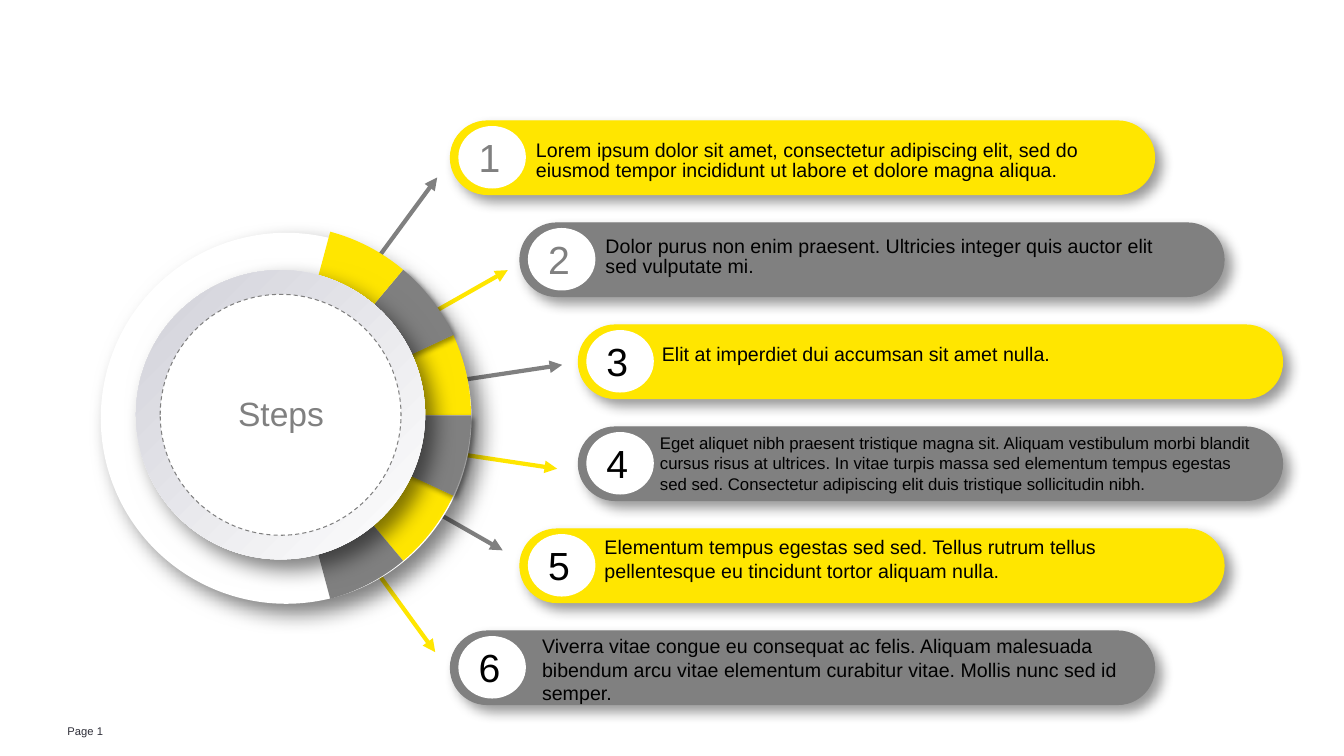
"""Build a slide with a six-part dial pointing at six numbered steps."""
from dataclasses import dataclass

from lxml.etree import SubElement
from pptx import Presentation
from pptx.dml.color import RGBColor
from pptx.enum.dml import MSO_LINE
from pptx.enum.shapes import MSO_CONNECTOR, MSO_SHAPE
from pptx.enum.text import MSO_ANCHOR, PP_ALIGN
from pptx.oxml.ns import qn
from pptx.util import Inches, Pt


@dataclass(frozen=True)
class Theme:
    """Colours, type sizes and shadows of the slide."""
    font: str = "Arial"
    yellow: str = "FFE600"
    gray: str = "808080"
    white: str = "FFFFFF"
    silver: str = "D2D2DA"
    black: str = "000000"
    ink: str = "2E2E38"
    footer: int = 8
    small: int = 12
    body: int = 14
    title: int = 24
    digit: int = 28
    deep_shadow: tuple = (50, 15, 10)
    pill_shadow: tuple = (40, 9, 6)
    slice_shadow: tuple = (40, 4, 3)


@dataclass(frozen=True)
class Step:
    """One numbered step with its layout, arrow and wording."""
    left: float
    caption: tuple
    arrow: tuple
    digit_color: str
    size: int
    spacing: float
    text: str


THEME = Theme()
DIAL_X, DIAL_Y, DIAL_SIZE = 2.79, 4.12, 3.77
SLICE_START, SLICE_ANGLE = -75, 25
SLICE_ORDER = (2, 4, 1, 5, 3, 0)
PILL_TOP, PILL_LAST_TOP = 1.2, 6.26
PILL_WIDTH, PILL_HEIGHT = 6.99, 0.73

STEPS = [
    Step(4.47, (0.85, 0.16, 5.61), (4.04, 4.34, 1.76), THEME.gray, THEME.body, 0.85,
         "Lorem ipsum dolor sit amet, consectetur adipiscing elit, sed do "
         "eiusmod tempor incididunt ut labore et dolore magna aliqua."),
    Step(5.16, (0.85, 0.1, 5.61), (4.03, 5.04, 2.68), THEME.gray, THEME.body, 0.85,
         "Dolor purus non enim praesent. Ultricies integer quis auctor elit "
         "sed vulputate mi."),
    Step(5.74, (0.83, 0.13, 5.98), (4.06, 5.58, 3.62), THEME.black, THEME.body, 1.0,
         "Elit at imperdiet dui accumsan sit amet nulla."),
    Step(5.74, (0.81, 0.02, 5.98), (4.22, 5.53, 4.65), THEME.black, THEME.small, 1.0,
         "Eget aliquet nibh praesent tristique magna sit. Aliquam vestibulum morbi "
         "blandit cursus risus at ultrices. In vitae turpis massa sed elementum "
         "tempus egestas sed sed. Consectetur adipiscing elit duis tristique "
         "sollicitudin nibh."),
    Step(5.16, (0.84, 0.02, 5.98), (4.13, 4.99, 5.46), THEME.black, THEME.body, 1.0,
         "Elementum tempus egestas sed sed. Tellus rutrum tellus pellentesque eu "
         "tincidunt tortor aliquam nulla."),
    Step(4.47, (0.91, -0.01, 5.98), (4.19, 4.32, 6.47), THEME.black, THEME.body, 1.0,
         "Viverra vitae congue eu consequat ac felis. Aliquam malesuada bibendum "
         "arcu vitae elementum curabitur vitae. Mollis nunc sed id semper."),
]


def rgb(color):
    """Turn a hex string into a colour."""
    return RGBColor.from_string(color)


def apply(target, values):
    """Set each named attribute on the target."""
    for name, value in values.items():
        setattr(target, name, value)


def step_color(index):
    """Alternate yellow and gray along the steps."""
    return (THEME.yellow, THEME.gray)[index % 2]


def add_shadow(shape, shadow):
    """Give a shape a soft black shadow towards the lower right."""
    alpha, blur, distance = shadow
    effects = shape._element.spPr.find(qn("a:effectLst"))
    outer = SubElement(effects, qn("a:outerShdw"), blurRad=str(Pt(blur)),
                       dist=str(Pt(distance)), dir=str(45 * 60000),
                       algn="tl", rotWithShape="0")
    color = SubElement(outer, qn("a:srgbClr"), val=THEME.black)
    SubElement(color, qn("a:alpha"), val=str(alpha * 1000))


def add_figure(shapes, kind, area, fill, line=None, shadow=None):
    """Add a preset shape with a plain fill and optional line and shadow."""
    shape = shapes.add_shape(kind, *map(Inches, area))
    shape.shadow.inherit = False
    shape.fill.solid()
    shape.fill.fore_color.rgb = rgb(fill)
    if line:
        shape.line.color.rgb = rgb(line)
        shape.line.width = Pt(0.75)
    else:
        shape.line.fill.background()
    if shadow:
        add_shadow(shape, shadow)
    return shape


def add_text(shapes, area, text, size, color, align=PP_ALIGN.LEFT,
             spacing=0.85, after=6, wrap=True, insets=(0, 0.04, 0, 0)):
    """Add a text box holding one paragraph."""
    frame = shapes.add_textbox(*map(Inches, area)).text_frame
    left, top, right, bottom = map(Inches, insets)
    apply(frame, {"word_wrap": wrap, "vertical_anchor": MSO_ANCHOR.TOP,
                  "margin_left": left, "margin_top": top,
                  "margin_right": right, "margin_bottom": bottom})
    para = frame.paragraphs[0]
    apply(para, {"alignment": align, "line_spacing": spacing,
                 "space_after": Pt(after)})
    span = para.add_run()
    span.text = text
    apply(span.font, {"name": THEME.font, "size": Pt(size)})
    span.font.color.rgb = rgb(color)


def add_arrow(shapes, start, end, color):
    """Add a straight arrow from start to end."""
    arrow = shapes.add_connector(MSO_CONNECTOR.STRAIGHT, *map(Inches, start + end))
    arrow.line.color.rgb = rgb(color)
    arrow.line.width = Pt(3)
    properties = arrow._element.spPr
    SubElement(properties.find(qn("a:ln")), qn("a:tailEnd"), type="triangle")
    SubElement(properties, qn("a:effectLst"))


def add_slice(shapes, index):
    """Add one coloured slice of the dial."""
    corner = (DIAL_X - DIAL_SIZE / 2, DIAL_Y - DIAL_SIZE / 2)
    shadow = THEME.slice_shadow if index in (1, 3) else None
    piece = add_figure(shapes, MSO_SHAPE.PIE, corner + (DIAL_SIZE, DIAL_SIZE),
                       step_color(index), shadow=shadow)
    start = SLICE_START + index * SLICE_ANGLE
    for side, angle in enumerate((start, start + SLICE_ANGLE)):
        piece.adjustments[side] = angle % 360 * 0.6


def add_dial(shapes):
    """Add the dial with its slices, ring and label."""
    add_figure(shapes, MSO_SHAPE.OVAL, (1, 2.31, 3.68, 3.68), THEME.white,
               shadow=THEME.deep_shadow)
    for index in SLICE_ORDER:
        add_slice(shapes, index)
    ring = add_figure(shapes, MSO_SHAPE.OVAL, (1.35, 2.68, 2.87, 2.87),
                      THEME.white, shadow=THEME.deep_shadow)
    ring.fill.gradient()
    ring.fill.gradient_angle = 135
    stops = ((0, THEME.white), (0.96, THEME.silver))
    for stop, (position, color) in zip(ring.fill.gradient_stops, stops):
        stop.position = position
        stop.color.rgb = rgb(color)
    face = add_figure(shapes, MSO_SHAPE.OVAL, (1.59, 2.92, 2.39, 2.39),
                      THEME.white, line=THEME.gray)
    face.line.dash_style = MSO_LINE.DASH


def add_step(shapes, index, step):
    """Add one numbered pill with its caption."""
    group = shapes.add_group_shape().shapes
    top = PILL_TOP + index * (PILL_LAST_TOP - PILL_TOP) / (len(STEPS) - 1)
    color = step_color(index)
    pill = add_figure(group, MSO_SHAPE.ROUNDED_RECTANGLE,
                      (step.left, top, PILL_WIDTH, PILL_HEIGHT), color,
                      line=color, shadow=THEME.pill_shadow)
    pill.adjustments[0] = 0.5
    add_figure(group, MSO_SHAPE.OVAL, (step.left + 0.08, top + 0.05, 0.67, 0.62),
               THEME.white)
    across, down, width = step.caption
    add_text(group, (step.left + across, top + down, width, 0.5), step.text,
             step.size, THEME.black, spacing=step.spacing, after=5)
    add_text(group, (step.left + 0.28, top + 0.15, 0.24, 0.44), str(index + 1),
             THEME.digit, step.digit_color, wrap=False)


def main():
    """Build and save the deck."""
    deck = Presentation()
    apply(deck, {"slide_width": Inches(13.34), "slide_height": Inches(7.5)})
    shapes = deck.slides.add_slide(deck.slide_layouts[6]).shapes
    add_text(shapes, (0.67, 7.14, 0.73, 0.2), "Page 1", THEME.footer, THEME.ink,
             spacing=1.0, after=0, insets=(0, 0.05, 0.1, 0.05))
    for index, step in enumerate(STEPS):
        start_y, *end = step.arrow
        add_arrow(shapes, (2.66, start_y), tuple(end), step_color(index + 1))
    add_dial(shapes)
    for index, step in enumerate(STEPS):
        add_step(shapes, index, step)
    add_text(shapes, (1.56, 3.92, 2.46, 0.38), "Steps", THEME.title, THEME.gray,
             align=PP_ALIGN.CENTER)
    deck.save("out.pptx")


main()
